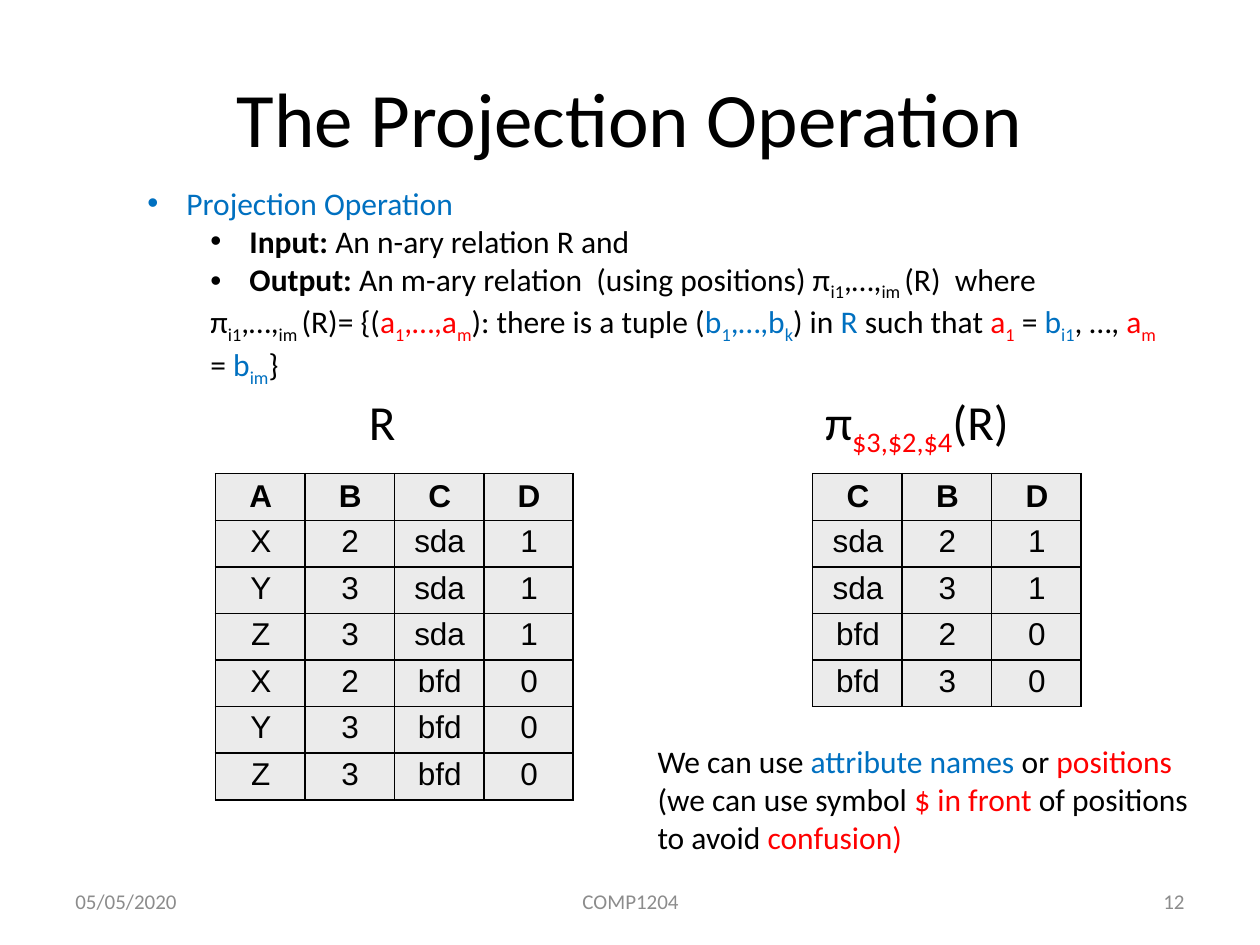
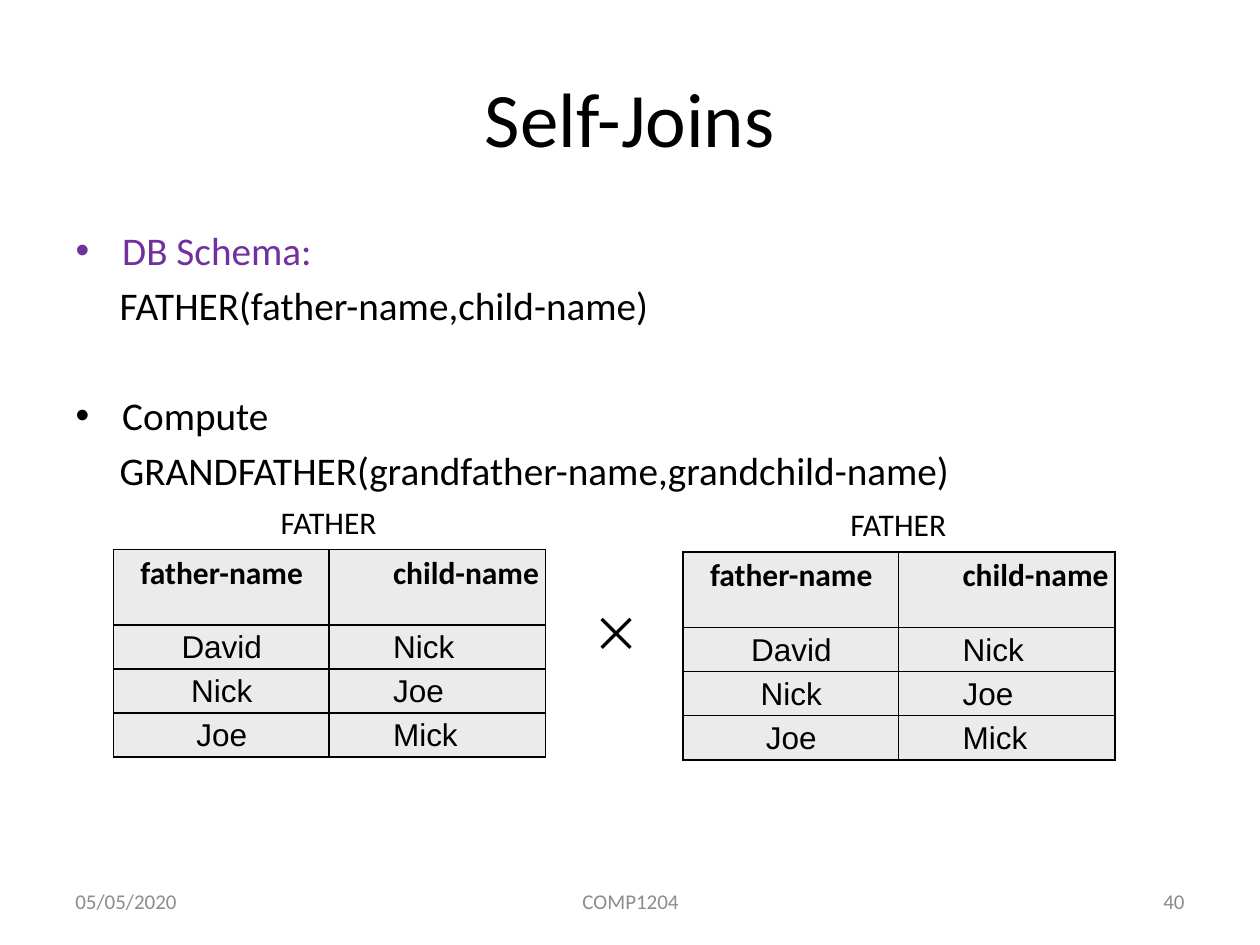
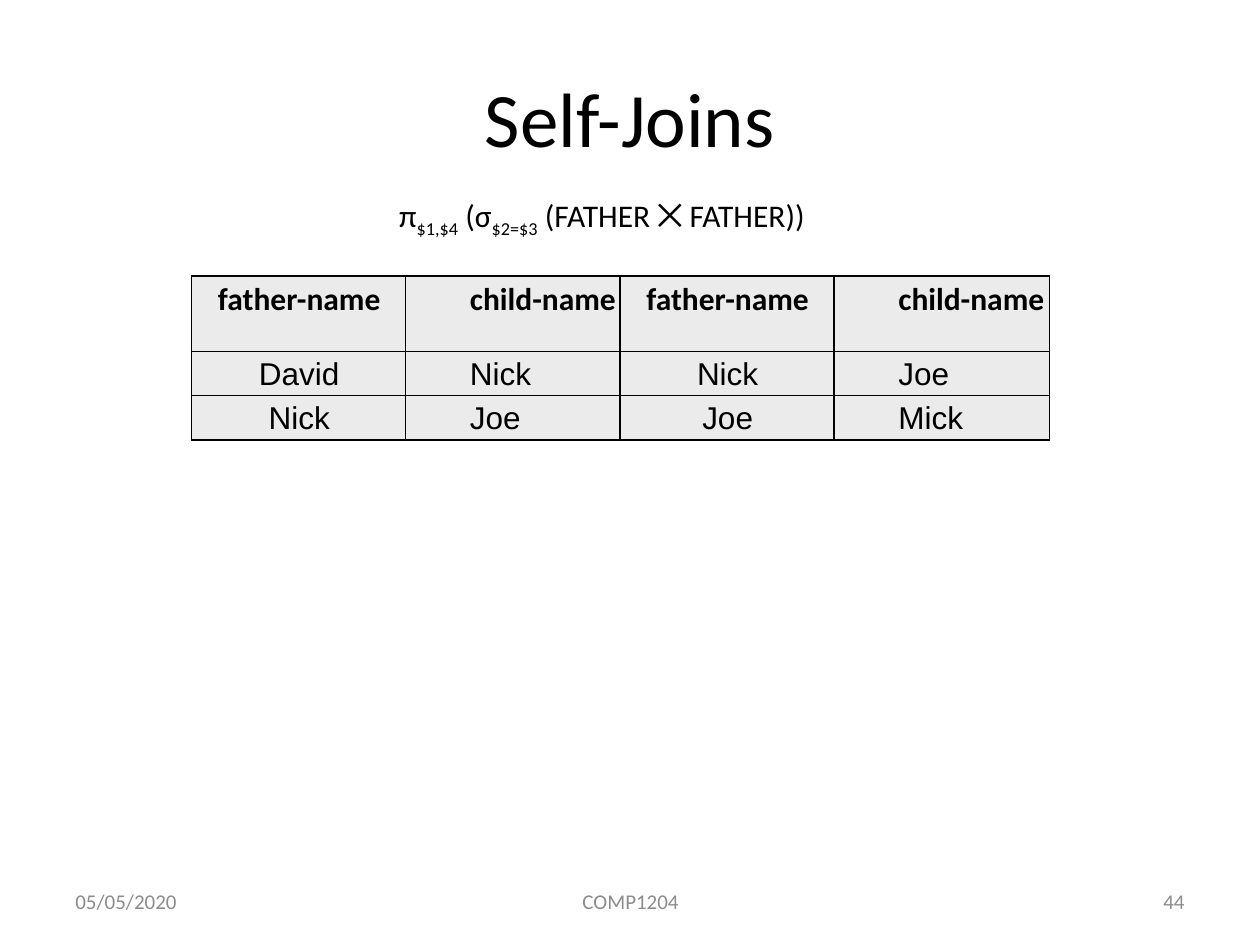
import pptx
import pptx.util
import pptx.dml.color
import pptx.enum.text
import pptx.oxml
import pptx.oxml.ns

RGB = pptx.dml.color.RGBColor
BLACK = RGB(0x00, 0x00, 0x00)
GREY = RGB(0x8C, 0x8C, 0x8C)
PALE = RGB(0xEB, 0xEB, 0xEB)
RED = RGB(0xFF, 0x00, 0x00)
BLUE = RGB(0x00, 0x70, 0xC0)
PLUM = RGB(0x70, 0x30, 0xA0)

INCH = pptx.util.Inches
PT = pptx.util.Pt
ALIGN = pptx.enum.text.PP_ALIGN
MID = pptx.enum.text.MSO_ANCHOR.MIDDLE
WIDE, HIGH = 10, 7.5

MARKS = {
    "r": {"color": RED},
    "b": {"color": BLUE},
    "p": {"color": PLUM},
    "B": {"bold": True},
    "s": {"sub": True},
}

FOOT = (0.5, 6.95, 2.33, 0.4)
DATE, COURSE = "05/05/2020", "COMP1204"

PI = [("π",), ("i1", "s"), (",…,",), ("im ", "s")]
RULES = [
    {"runs": [("Projection Operation", "b")], "left": 0.31, "dot": True},
    {"runs": [("Input: ", "B"), ("An n-ary relation R and",)],
     "left": 0.81, "dot": True, "level": 1},
    {"runs": [("Output: ", "B"), ("An m-ary relation  (using positions) ",)]
     + PI + [("(R)  where",)],
     "left": 0.81, "dot": True, "level": 1},
    {"runs": PI + [
        ("(R)= {(",), ("a", "r"), ("1", "rs"), (",…,a", "r"), ("m", "rs"),
        ("): there is a tuple (",), ("b", "b"), ("1", "bs"), (",…,b", "b"),
        ("k", "bs"), (") in ",), ("R", "b"), (" such that ",), ("a", "r"),
        ("1", "rs"), (" = ",), ("b", "b"), ("i1", "bs"), (", …, ",),
        ("a", "r"), ("m", "rs"), (" = ",), ("b", "b"), ("im", "bs"), ("}",)],
     "left": 0.5, "level": 1},
]
HINT = [
    {"runs": [("We can use ",), ("attribute names ", "b"), ("or ",),
              ("positions", "r")]},
    {"runs": [("(we can use symbol ",), ("$ in front ", "r"),
              ("of positions to avoid ",), ("confusion)", "r")]},
]
SHOWN = [("π",), ("$3,$2,$4", "rs"), ("(R)",)]
FULL = ["ABCD", ("X", "2", "sda", "1"), ("Y", "3", "sda", "1"),
        ("Z", "3", "sda", "1"), ("X", "2", "bfd", "0"),
        ("Y", "3", "bfd", "0"), ("Z", "3", "bfd", "0")]
PART = ["CBD", ("sda", "2", "1"), ("sda", "3", "1"),
        ("bfd", "2", "0"), ("bfd", "3", "0")]

GOALS = [
    {"runs": [("DB Schema:", "p")], "left": 0.37, "dot": True, "gap": 4.5},
    {"runs": [("FATHER(father-name,child-name)",)], "left": 0.35, "gap": 4.5},
    {"runs": [("Compute",)], "left": 0.37, "dot": True, "gap": 36},
    {"runs": [("GRANDFATHER(grandfather-name,grandchild-name)",)],
     "left": 0.35, "gap": 4.5},
]
HEAD = ("father-name", "child-name")
KIN = [("David", "Nick"), ("Nick", "Joe"), ("Joe", "Mick")]
QUERY = [("π",), ("$1,$4", "s"), (" (σ",), ("$2=$3", "s"),
         (" (FATHER ⨉ FATHER))",)]
HEAD_H, ROW_H = 0.6, 0.35


def style(run, size, face="Calibri", color=BLACK, bold=False, sub=False):
    for name, value in {"size": PT(size), "name": face, "bold": bold}.items():
        setattr(run.font, name, value)
    run.font.color.rgb = color
    if sub:
        run.font._element.set("baseline", "-25000")


def write(frame, paras, size, face="Calibri", color=BLACK):
    for i, item in enumerate(paras):
        para = frame.paragraphs[0] if i == 0 else frame.add_paragraph()
        form = {"alignment": item.get("align", ALIGN.LEFT),
                "level": item.get("level", 0),
                "space_before": PT(item.get("gap", 0))}
        for name, value in form.items():
            setattr(para, name, value)
        dot = item.get("dot")
        props = para._p.get_or_add_pPr()
        props.set("marL", str(INCH(item.get("left", 0))))
        props.set("indent", str(INCH(-min(item["left"], 0.31 if size < 20 else 0.37)) if dot else 0))
        mark = pptx.oxml.ns.qn("a:buChar" if dot else "a:buNone")
        bullet = props.makeelement(mark, {"char": "•"} if dot else {})
        props.append(bullet)
        for text, *marks in item["runs"]:
            run = para.add_run()
            run.text = text
            look = {"color": color}
            for key in "".join(marks):
                look.update(MARKS[key])
            style(run, size, face, **look)


def place(shape, box):
    for name, value in zip(("left", "top", "width", "height"), box):
        setattr(shape, name, INCH(value))


def label(slide, box, paras, size=18, color=BLACK, anchor=None):
    frame = slide.shapes.add_textbox(*map(INCH, box)).text_frame
    frame.word_wrap = True
    if anchor is not None:
        frame.vertical_anchor = anchor
    write(frame, paras, size, color=color)


def fill_body(slide, box, paras, size):
    body = slide.placeholders[1]
    place(body, box)
    body.text_frame.auto_size = pptx.enum.text.MSO_AUTO_SIZE.NONE
    write(body.text_frame, paras, size)


def edge(cell):
    props = cell._tc.get_or_add_tcPr()
    space = pptx.oxml.ns.nsdecls("a")
    for side in "LRTB":
        props.append(pptx.oxml.parse_xml(
            f'<a:ln{side} {space} w="12700"><a:solidFill>'
            f'<a:srgbClr val="{BLACK}"/></a:solidFill></a:ln{side}>'))
    cell.fill.solid()
    cell.fill.fore_color.rgb = PALE


def grid(slide, left, top, rows, cols, highs, heads=1, face="Arial", lefts=None):
    frame = slide.shapes.add_table(
        len(rows), len(cols), *map(INCH, (left, top, sum(cols), sum(highs))))
    table = frame.table
    table.first_row = table.horz_banding = False
    for col, width in zip(table.columns, cols):
        col.width = INCH(width)
    for r, (row, high) in enumerate(zip(rows, highs)):
        table.rows[r].height = INCH(high)
        top_row = r < heads
        for c, text in enumerate(row):
            cell = table.cell(r, c)
            form = {"margin_left": 0, "margin_right": 0, "margin_bottom": 0,
                    "margin_top": INCH(0.04 if lefts or top_row else 0.03)}
            for name, value in form.items():
                setattr(cell, name, value)
            edge(cell)
            pad = lefts[c] if lefts else 0
            item = {"runs": [(text, "B" if top_row else "")],
                    "left": pad or 0.01, "gap": 4 if top_row else 3.4,
                    "align": ALIGN.LEFT if pad else ALIGN.CENTER}
            write(cell.text_frame, [item], 18, face if top_row else "Arial")


def kin(slide, left, top, rows, cols, heads):
    highs = [HEAD_H] * heads + [ROW_H] * (len(rows) - heads)
    grid(slide, left, top, rows, cols, highs, heads, "Calibri", (0, 0.51))


def start(deck, layout, title, page):
    slide = deck.slides.add_slide(deck.slide_layouts[layout])
    place(slide.shapes.title, (0.5, 0.3, 9, 1.25))
    write(slide.shapes.title.text_frame,
          [{"runs": [(title,)], "align": ALIGN.CENTER}], 44)
    left, top, wide, high = FOOT
    spots = [(left, wide, DATE, ALIGN.LEFT),
             (3.42, 3.17, COURSE, ALIGN.CENTER),
             (WIDE - left - wide, wide, str(page), ALIGN.RIGHT)]
    for x, w, text, align in spots:
        label(slide, (x, top, w, high),
              [{"runs": [(text,)], "align": align}], 12, GREY, MID)
    return slide


def project(deck):
    slide = start(deck, 1, "The Projection Operation", 12)
    fill_body(slide, (1.07, 1.41, 8.26, 1.62), RULES, 18)
    for left, rows in ((1.71, FULL), (6.45, PART)):
        grid(slide, left, 3.76, rows, [0.71] * len(rows[0]), [0.37] * len(rows))
    for left, wide, runs in ((2.83, 0.58, [("R",)]), (6.45, 1.83, SHOWN)):
        label(slide, (left, 3.06, wide, 0.57), [{"runs": runs}], 28)
    label(slide, (5.12, 5.84, 4.48, 1.31), HINT)


def product(deck):
    slide = start(deck, 1, "Self-Joins", 40)
    fill_body(slide, (0.5, 1.75, 9, 2.08), GOALS, 22.4)
    label(slide, (4.66, 4.77, 0.6, 0.5), [{"runs": [("⨉",)]}], 24)
    for left, top in ((0.9, 4.36), (5.42, 4.38)):
        kin(slide, left, top, [HEAD] + KIN, (1.71, 1.72), 1)
        label(slide, (left + 1.23, top - 0.42, 1.1, 0.4),
              [{"runs": [("FATHER",)]}])


def join(deck):
    slide = start(deck, 5, "Self-Joins", 44)
    top = 2.19
    for r, pair in enumerate([(HEAD, HEAD)] + list(zip(KIN, KIN[1:]))):
        for left, row in zip((1.52, 4.92), pair):
            kin(slide, left, top, [row], (1.7, 1.71), int(r == 0))
        top += ROW_H if r else HEAD_H
    label(slide, (3.07, 1.51, 3.7, 0.4), [{"runs": QUERY}])


def main():
    deck = pptx.Presentation()
    deck.slide_width, deck.slide_height = INCH(WIDE), INCH(HIGH)
    for build in (project, product, join):
        build(deck)
    deck.save("out.pptx")


if __name__ == "__main__":
    main()
